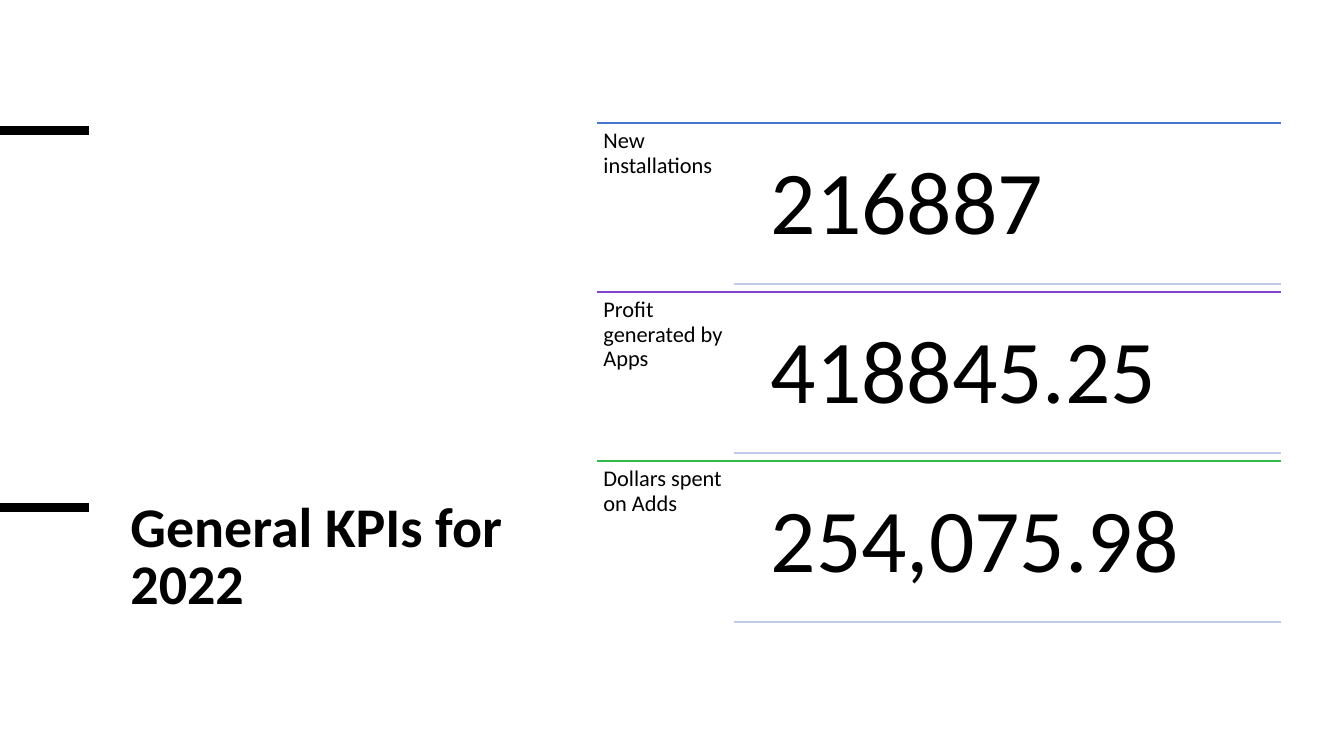
from pptx import Presentation
from pptx.dml.color import RGBColor
from pptx.enum.shapes import MSO_CONNECTOR
from pptx.enum.text import MSO_ANCHOR, MSO_AUTO_SIZE, PP_ALIGN
from pptx.oxml.ns import qn
from pptx.util import Pt
from lxml.etree import SubElement

BLACK = "000000"
PALE_BLUE = "C1CAE7"
KPI_LEFT, VALUE_LEFT, KPI_RIGHT = 426.3, 531.4, 915.2
KPI_TOP, KPI_PITCH, LABEL_WIDTH = 87.8, 120.7, 97.8
KPIS = [
    ("New installations", "216887", "4477CC"),
    ("Profit generated by Apps", "418845.25", "8244CC"),
    ("Dollars spent on Adds", "254,075.98", "32BA4B"),
]


def color(value):
    return RGBColor.from_string(value)


class SlideBuilder:
    font_name = "Calibri"

    def __init__(self, presentation):
        self.slide = presentation.slides.add_slide(presentation.slide_layouts[5])

    def rule(self, left, right, y, line_color, width):
        line = self.slide.shapes.add_connector(
            MSO_CONNECTOR.STRAIGHT, Pt(left), Pt(y), Pt(right), Pt(y))
        line.line.color.rgb = color(line_color)
        line.line.width = Pt(width)
        SubElement(line._element.spPr, qn("a:effectLst"))

    def set_text(self, shape, text, size, spacing, bold=False):
        frame = shape.text_frame
        frame.word_wrap = True
        frame.auto_size = MSO_AUTO_SIZE.NONE
        frame.vertical_anchor = MSO_ANCHOR.TOP
        frame.text = text
        paragraph = frame.paragraphs[0]
        paragraph.alignment = PP_ALIGN.LEFT
        paragraph.line_spacing = spacing
        paragraph.font.name = self.font_name
        paragraph.font.size = Pt(size)
        paragraph.font.bold = bold
        paragraph.font.color.rgb = color(BLACK)

    def title(self, text, left, top, width, height):
        shape = self.slide.shapes.title
        shape.left, shape.top = Pt(left), Pt(top)
        shape.width, shape.height = Pt(width), Pt(height)
        self.set_text(shape, text, 40, 0.85, bold=True)

    def text(self, text, left, top, width, height, size, inset):
        shape = self.slide.shapes.add_textbox(
            Pt(left), Pt(top), Pt(width), Pt(height))
        frame = shape.text_frame
        frame.margin_left = frame.margin_right = Pt(inset)
        frame.margin_top = frame.margin_bottom = Pt(inset)
        self.set_text(shape, text, size, 0.9)

    def kpi(self, label, value, accent, top):
        self.rule(KPI_LEFT, KPI_RIGHT, top, accent, 1)
        self.text(label, KPI_LEFT, top, LABEL_WIDTH, KPI_PITCH, 16, 4.8)
        self.text(value, VALUE_LEFT, top + 5.5, KPI_RIGHT - VALUE_LEFT, 109.5, 64, 19.2)
        self.rule(KPI_LEFT + LABEL_WIDTH, KPI_RIGHT, top + 115.2, PALE_BLUE, 1)


def main():
    presentation = Presentation()
    presentation.slide_width, presentation.slide_height = Pt(960), Pt(540)
    builder = SlideBuilder(presentation)
    builder.rule(0, 63.5, 93.4, BLACK, 6.75)
    builder.title("General KPIs for 2022", 86, 355, 298, 141)
    builder.rule(0, 63.5, 362.6, BLACK, 6.5)
    for index, (label, value, accent) in enumerate(KPIS):
        builder.kpi(label, value, accent, KPI_TOP + index * KPI_PITCH)
    presentation.save("out.pptx")


if __name__ == "__main__":
    main()
